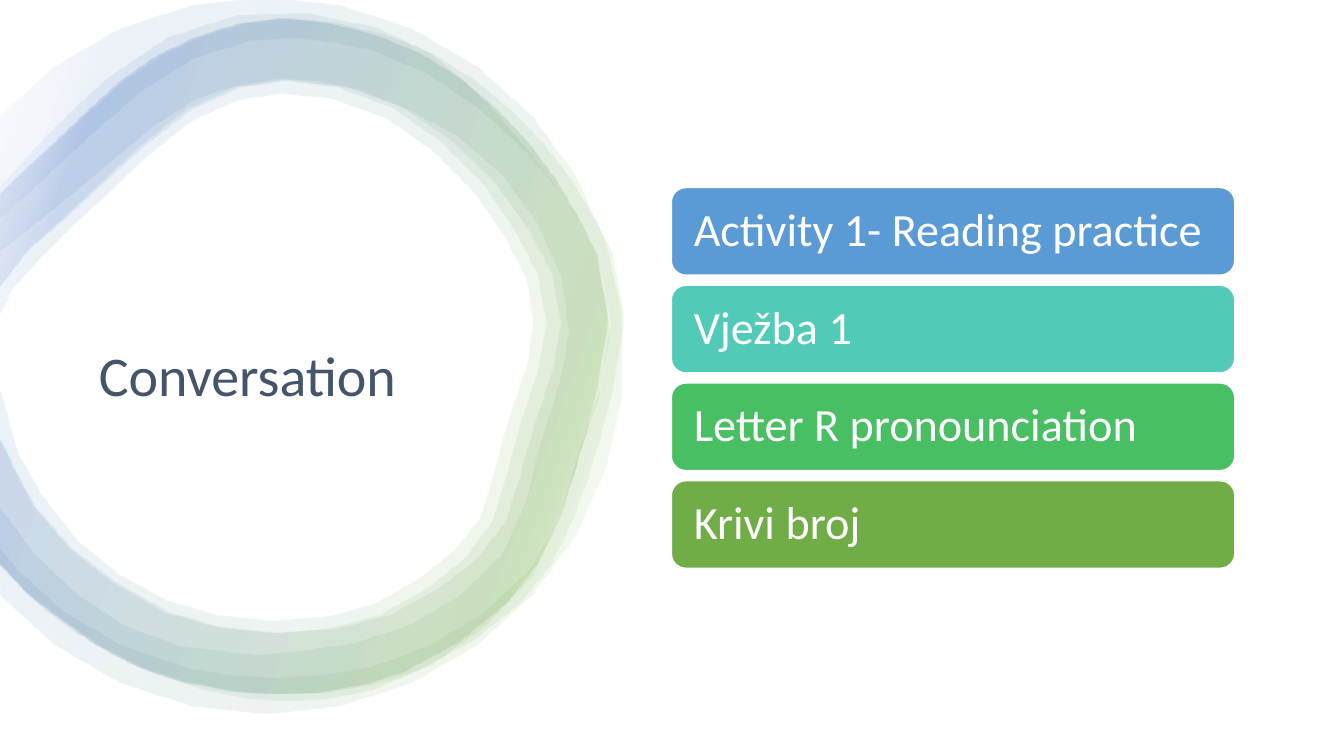
import math
from dataclasses import dataclass

import lxml.etree
import pptx
import pptx.dml.color
import pptx.enum.shapes
import pptx.enum.text
import pptx.oxml
import pptx.oxml.ns
import pptx.util

Pt = pptx.util.Pt
Curve = list[tuple[float, float]]

COLORS = {
    "white": "FFFFFF", "title": "44546A", "ring_green": "70AD47", "ring_blue": "4472C4",
    "blue": "5B9BD5", "teal": "52CAB8", "green": "49BF64", "olive": "70AD47",
}
GRADIENT_STOPS = [(2, "white"), (16, "ring_green"), (85, "ring_blue"), (100, "white")]
GRADIENT_ANGLE = 200
RING_OPACITY = 10
GRID = 72  # points per unit of the ring curves
SEGMENT_LENGTH = 0.5  # in units of the ring curves


@dataclass
class Ring:
    outer: Curve  # clockwise, from the upper left edge of the slide
    inner: Curve  # back again, from the lower left edge
    stretch: float = 1.0


@dataclass
class Topic:
    text: str
    color: str


# Ring outlines
ROUND_OUTER = [
    (0, 1.92), (0.56, 1.39), (1.55, 0.55), (2.79, 0.18), (4.18, 0.53), (5.25, 1.42),
    (5.92, 2.52), (6.03, 3.17), (5.92, 3.86), (5.54, 5.14), (5.03, 5.97), (4, 6.66),
    (2.71, 6.88), (1.37, 6.61), (0.27, 5.88), (0, 5.58),
]
WIDE_INNER = [
    (0, 4.34), (0.34, 5.02), (0.7, 5.44), (1.62, 6.06), (2.71, 6.27), (3.77, 6.09),
    (4.6, 5.54), (4.88, 5.17), (5.02, 4.72), (5.14, 4.27), (5.34, 3.65), (5.42, 3.2),
    (5.33, 2.72), (4.79, 1.82), (3.88, 1.06), (2.79, 0.79), (1.87, 1.07), (0.99, 1.82),
    (0.61, 2.18), (0.28, 2.47), (0, 2.84),
]
NARROW_INNER = [
    (0, 3.83), (0.18, 4.48), (0.78, 5.36), (1.67, 5.95), (2.71, 6.15), (3.72, 5.98),
    (4.51, 5.45), (4.77, 5.12), (4.9, 4.69), (5.02, 4.23), (5.23, 3.6), (5.29, 3.18),
    (5.22, 2.76), (4.7, 1.9), (3.83, 1.17), (2.79, 0.92), (1.9, 1.2), (1.08, 1.91),
    (0.69, 2.27), (0.13, 2.86), (0, 3.13),
]
THIN_OUTER = [
    (0, 1.84), (0.5, 1.3), (1.09, 0.75), (1.66, 0.37), (2.34, 0.15), (3.05, 0.13),
    (3.73, 0.27), (4.24, 0.51), (4.84, 1.03), (5.26, 1.52), (5.65, 2.03), (5.94, 2.62),
    (6.05, 3.29), (5.93, 3.96), (5.74, 4.52), (5.57, 5.11), (5.27, 5.72), (4.82, 6.2),
    (4.28, 6.59), (3.66, 6.85), (2.84, 6.95), (2.02, 6.84), (1.11, 6.49), (0.43, 6.04),
    (0, 5.61),
]
THIN_INNER = [
    (0, 5.03), (0.34, 5.49), (0.76, 5.89), (1.25, 6.21), (1.81, 6.41), (2.53, 6.49),
    (3.53, 6.37), (4.07, 6.19), (4.56, 5.9), (4.97, 5.5), (5.2, 5.01), (5.35, 4.41),
    (5.54, 3.81), (5.64, 3.29), (5.56, 2.74), (5.33, 2.22), (4.99, 1.75), (4.55, 1.36),
    (4.04, 1.08), (3.53, 0.88), (2.75, 0.78), (1.96, 0.97), (1.5, 1.26), (1.05, 1.64),
    (0.57, 2.04), (0, 2.49),
]
CIRCLE_OUTER = [
    (2.63 + 3.55 * math.cos(math.radians(angle)), 3.53 + 3.55 * math.sin(math.radians(angle)))
    for angle in range(222, 499, 12)
] + [(0, 5.9)]
CIRCLE_INNER = [
    (0, 5.44), (0.17, 5.65), (0.65, 6.08), (1.2, 6.4), (1.87, 6.63), (2.73, 6.72),
    (3.66, 6.62), (4.24, 6.41), (4.78, 6.08), (5.24, 5.65), (5.52, 5.18), (5.73, 4.47),
    (5.94, 3.85), (6.05, 3.22), (5.92, 2.59), (5.63, 2.02), (5.22, 1.52), (4.75, 1.09),
    (4.24, 0.74), (3.67, 0.5), (2.92, 0.38), (2.47, 0.41), (1.9, 0.59), (1.38, 0.92),
    (0.9, 1.34), (0.42, 1.79), (0, 2.17),
]
RINGS = [
    Ring(THIN_OUTER, THIN_INNER),
    Ring(ROUND_OUTER, WIDE_INNER, stretch=1.025),
    Ring(ROUND_OUTER, NARROW_INNER),
    Ring(ROUND_OUTER, WIDE_INNER),
    Ring(CIRCLE_OUTER, CIRCLE_INNER),
]
TOPICS = [
    Topic("Activity 1- Reading practice", "blue"),
    Topic("Vježba 1", "teal"),
    Topic("Letter R pronounciation", "green"),
    Topic("Krivi broj", "olive"),
]


def rgb(color: str) -> pptx.dml.color.RGBColor:
    return pptx.dml.color.RGBColor.from_string(COLORS[color])


def smooth(anchors: Curve) -> Curve:
    """Run a Catmull-Rom spline through the anchors."""
    padded = [anchors[0], *anchors, anchors[-1]]
    points = [anchors[0]]
    for before, start, end, after in zip(padded, padded[1:], padded[2:], padded[3:]):
        steps = max(1, round(math.dist(start, end) / SEGMENT_LENGTH))
        for step in range(1, steps + 1):
            t = step / steps
            x, y = (
                b + t * (c - a + t * (2 * a - 5 * b + 4 * c - d + t * (3 * (b - c) + d - a))) / 2
                for a, b, c, d in zip(before, start, end, after)
            )
            points.append((max(x, 0), y))
    return points


def fill_gradient(shape) -> None:
    gradient = lxml.etree.SubElement(shape.fill._xPr, pptx.oxml.ns.qn("a:gradFill"))
    stops = lxml.etree.SubElement(gradient, pptx.oxml.ns.qn("a:gsLst"))
    for position, color in GRADIENT_STOPS:
        stop = lxml.etree.SubElement(stops, pptx.oxml.ns.qn("a:gs"), pos=str(position * 1000))
        value = lxml.etree.SubElement(stop, pptx.oxml.ns.qn("a:srgbClr"), val=COLORS[color])
        lxml.etree.SubElement(value, pptx.oxml.ns.qn("a:alpha"), val=str(RING_OPACITY * 1000))
    lxml.etree.SubElement(
        gradient, pptx.oxml.ns.qn("a:lin"), ang=str(GRADIENT_ANGLE * 60000), scaled="0"
    )


def draw_ring(slide, ring: Ring) -> None:
    # Tenths of a point keep the curve fine
    points = [
        (x * ring.stretch * GRID * 10, y * GRID * 10)
        for x, y in smooth(ring.outer) + smooth(ring.inner)
    ]
    builder = slide.shapes.build_freeform(*points[0], scale=Pt(0.1))
    builder.add_line_segments(points[1:], close=True)
    shape = builder.convert_to_shape()
    fill_gradient(shape)
    shape.line.fill.background()
    shape.shadow.inherit = False


def write_text(shape, text: str, *, size: float, color: str, margin: float) -> None:
    frame = shape.text_frame
    frame.word_wrap = True
    frame.auto_size = pptx.enum.text.MSO_AUTO_SIZE.NONE
    frame.vertical_anchor = pptx.enum.text.MSO_ANCHOR.MIDDLE
    frame.margin_left = frame.margin_right = Pt(margin)
    paragraph = frame.paragraphs[0]
    paragraph.alignment = pptx.enum.text.PP_ALIGN.LEFT
    paragraph.line_spacing = 0.9
    run = paragraph.add_run()
    run.text = text
    run.font.name = "Calibri"
    run.font.size = Pt(size)
    run.font.color.rgb = rgb(color)


def draw_topic(slide, topic: Topic, top: float) -> None:
    shape = slide.shapes.add_shape(
        pptx.enum.shapes.MSO_SHAPE.ROUNDED_RECTANGLE, Pt(479.5), Pt(top), Pt(402.5), Pt(62.6)
    )
    shape.shadow.inherit = False
    shape.fill.solid()
    shape.fill.fore_color.rgb = rgb(topic.color)
    shape.line.color.rgb = rgb("white")
    shape.line.width = Pt(1)
    write_text(shape, topic.text, size=33, color="white", margin=13)


def main() -> None:
    presentation = pptx.Presentation()
    presentation.slide_width, presentation.slide_height = Pt(960), Pt(540)
    slide = presentation.slides.add_slide(presentation.slide_layouts[5])

    # Layered ring
    for ring in RINGS:
        draw_ring(slide, ring)

    # Title, in front of the ring
    title = slide.shapes.title
    title.left, title.top, title.width, title.height = Pt(63.4), Pt(159), Pt(288), Pt(222)
    write_text(title, "Conversation", size=40, color="title", margin=7.2)
    slide.shapes._spTree.append(title._element)

    # Topic list
    for index, topic in enumerate(TOPICS):
        draw_topic(slide, topic, top=134 + 69.8 * index)

    presentation.save("out.pptx")


if __name__ == "__main__":
    main()
